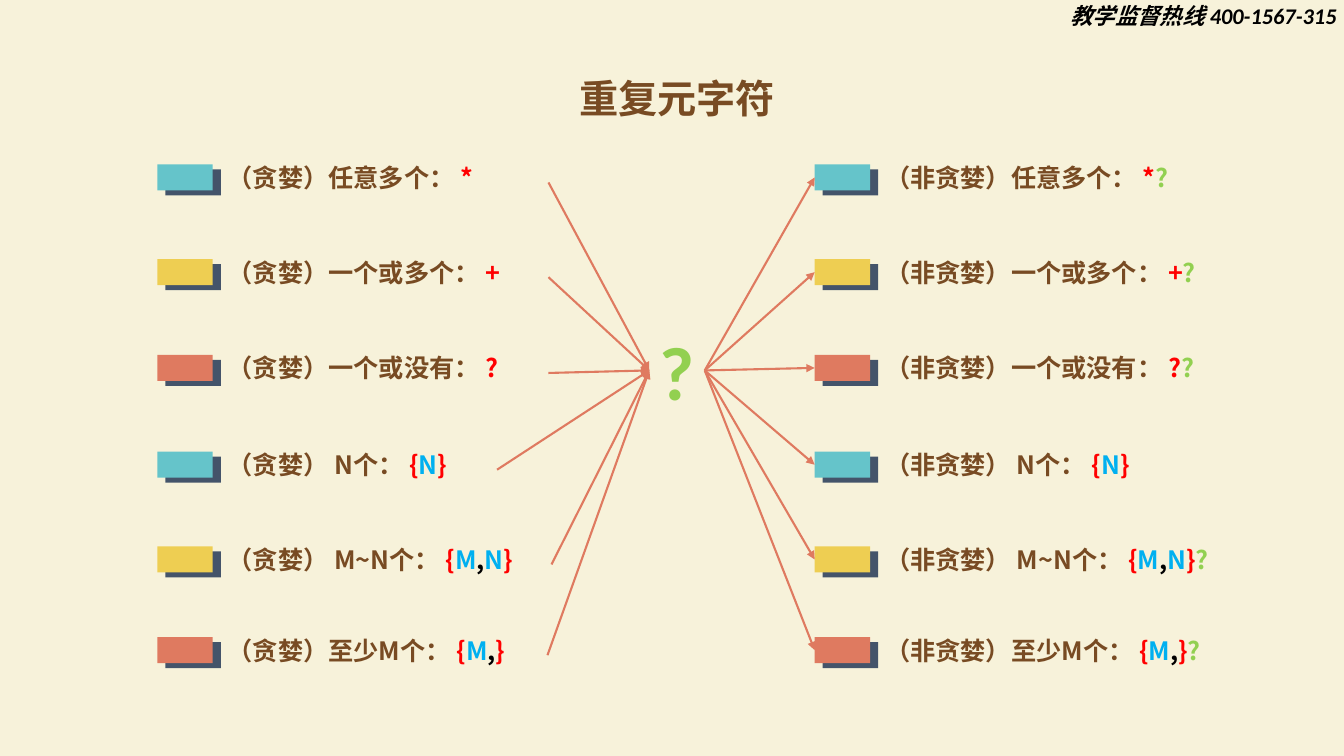
from lxml import etree
from pptx import Presentation
from pptx.dml.color import RGBColor
from pptx.enum.shapes import MSO_CONNECTOR, MSO_SHAPE
from pptx.enum.text import MSO_ANCHOR, MSO_AUTO_SIZE, PP_ALIGN
from pptx.oxml.ns import qn
from pptx.util import Inches, Pt

RECT = MSO_SHAPE.RECTANGLE
STRAIGHT = MSO_CONNECTOR.STRAIGHT
TOP = MSO_ANCHOR.TOP
GROW = MSO_AUTO_SIZE.SHAPE_TO_FIT_TEXT
CENTER = PP_ALIGN.CENTER
LEFT_SIDE, RIGHT_SIDE = 1, 3

CREAM = RGBColor(0xF7, 0xF2, 0xDA)
BROWN = RGBColor(0x78, 0x4B, 0x23)
SLATE = RGBColor(0x44, 0x54, 0x6A)
TEAL = RGBColor(0x65, 0xC4, 0xCA)
YELLOW = RGBColor(0xEE, 0xCE, 0x52)
CORAL = RGBColor(0xDF, 0x7A, 0x60)
RED = RGBColor(0xFF, 0x00, 0x00)
BLUE = RGBColor(0x00, 0xB0, 0xF0)
GREEN = RGBColor(0x92, 0xD0, 0x50)
BLACK = RGBColor(0x00, 0x00, 0x00)

CJK_FONT = "Noto Sans CJK SC"
LATIN_FONT = "Calibri"
SYMBOL_COLORS = {"M": BLUE, "N": BLUE, ",": BLACK}

# top, swatch colour, label, symbols, lazy suffix, greedy width, lazy width
ROWS = [
    (1.63, TEAL, "任意多个： ", "*", "?", 3.28, 3.27),
    (2.57, YELLOW, "一个或多个： ", "+", "?", 3.28, 3.48),
    (3.52, CORAL, "一个或没有： ", "?", "?", 3.28, 3.48),
    (4.48, TEAL, " N个： ", "{N}", "", 2.77, 3.03),
    (5.42, YELLOW, " M~N个： ", "{M,N}", "?", 3.31, 3.81),
    (6.32, CORAL, "至少M个： ", "{M,}", "?", 3.27, 3.54),
]


def set_font(p, name, size, color):
    font = p.font
    font.name, font.size, font.bold = name, Pt(size), True
    font.color.rgb = color
    ea = etree.SubElement(p._p.pPr.find(qn("a:defRPr")), qn("a:ea"))
    ea.set("typeface", CJK_FONT)


def add_text(s, x, y, w, h, wrap=True):
    sp = s.shapes.add_textbox(Inches(x), Inches(y), Inches(w), Inches(h))
    sp.text_frame.word_wrap = wrap
    sp.text_frame.auto_size = GROW
    return sp, sp.text_frame.paragraphs[0]


def add_run(p, text, color):
    r = p.add_run()
    r.text = text
    r.font.color.rgb = color


def add_header(s, x, y, w, h):
    _, p = add_text(s, x, y, w, h)
    p.text = "教学监督热线 400-1567-315"
    p.line_spacing = 0.9
    p.font.italic = True
    set_font(p, LATIN_FONT, 16, BLACK)


def add_title(s, x, y, w, h):
    sp = s.shapes.title
    sp.left, sp.top, sp.width, sp.height = map(Inches, (x, y, w, h))
    tf = sp.text_frame
    tf.text = "重复元字符"
    tf.vertical_anchor = TOP
    tf.auto_size = GROW
    tf.paragraphs[0].alignment = CENTER
    set_font(tf.paragraphs[0], CJK_FONT, 28, BROWN)


def add_swatch(s, x, y, color):
    """Draw a coloured bar over its offset backing and return the bar."""
    shapes = s.shapes.add_group_shape().shapes
    for dx, dy, fill in ((0.08, 0.05, SLATE), (0, 0, color)):
        sp = shapes.add_shape(RECT, Inches(x + dx), Inches(y + dy),
                              Inches(0.55), Inches(0.26))
        sp.shadow.inherit = False
        sp.fill.solid()
        sp.fill.fore_color.rgb = fill
        sp.line.fill.background()
    return sp


def add_item(s, x, y, w, color, label, symbols, suffix=""):
    """Draw one row and return its swatch and its text box."""
    swatch = add_swatch(s, x, y, color)
    box, p = add_text(s, x + 0.6, y + 0.02, w, 0.32)
    p.line_spacing = Pt(15)
    set_font(p, CJK_FONT, 18, BROWN)
    add_run(p, label, BROWN)
    for symbol in symbols:
        add_run(p, symbol, SYMBOL_COLORS.get(symbol, RED))
    if suffix:
        add_run(p, suffix, GREEN)
    return swatch, box


def add_question_mark(s, x, y, w, h):
    sp, p = add_text(s, x, y, w, h, wrap=False)
    p.text = "?"
    p.alignment = CENTER
    set_font(p, LATIN_FONT, 54, GREEN)
    return sp


def add_arrow(s, start, end):
    """Join the right side of start to the left side of end."""
    line = s.shapes.add_connector(STRAIGHT, 0, 0, 0, 0)
    line.begin_connect(start, RIGHT_SIDE)
    line.end_connect(end, LEFT_SIDE)
    line.line.color.rgb = CORAL
    line.line.width = Pt(1.5)
    tail = etree.SubElement(line.line._get_or_add_ln(), qn("a:tailEnd"))
    tail.set("type", "triangle")
    etree.SubElement(line._element.spPr, qn("a:effectLst"))


def add_comparison(s, greedy_x, lazy_x):
    mark = add_question_mark(s, 6.44, 3.17, 0.55, 1.01)
    for y, color, label, symbols, suffix, greedy_w, lazy_w in ROWS:
        _, greedy = add_item(s, greedy_x, y, greedy_w, color,
                             "（贪婪）" + label, symbols)
        lazy, _ = add_item(s, lazy_x, y, lazy_w, color,
                           "（非贪婪）" + label, symbols, suffix)
        add_arrow(s, greedy, mark)
        add_arrow(s, mark, lazy)


def main():
    prs = Presentation()
    prs.slide_width, prs.slide_height = Inches(13.33), Inches(7.5)
    s = prs.slides.add_slide(prs.slide_layouts[5])
    s.background.fill.solid()
    s.background.fill.fore_color.rgb = CREAM
    add_header(s, 10.52, 0, 2.99, 0.39)
    add_title(s, 5.16, 0.69, 3.11, 0.57)
    add_comparison(s, 1.56, 8.08)
    prs.save("out.pptx")


if __name__ == "__main__":
    main()
